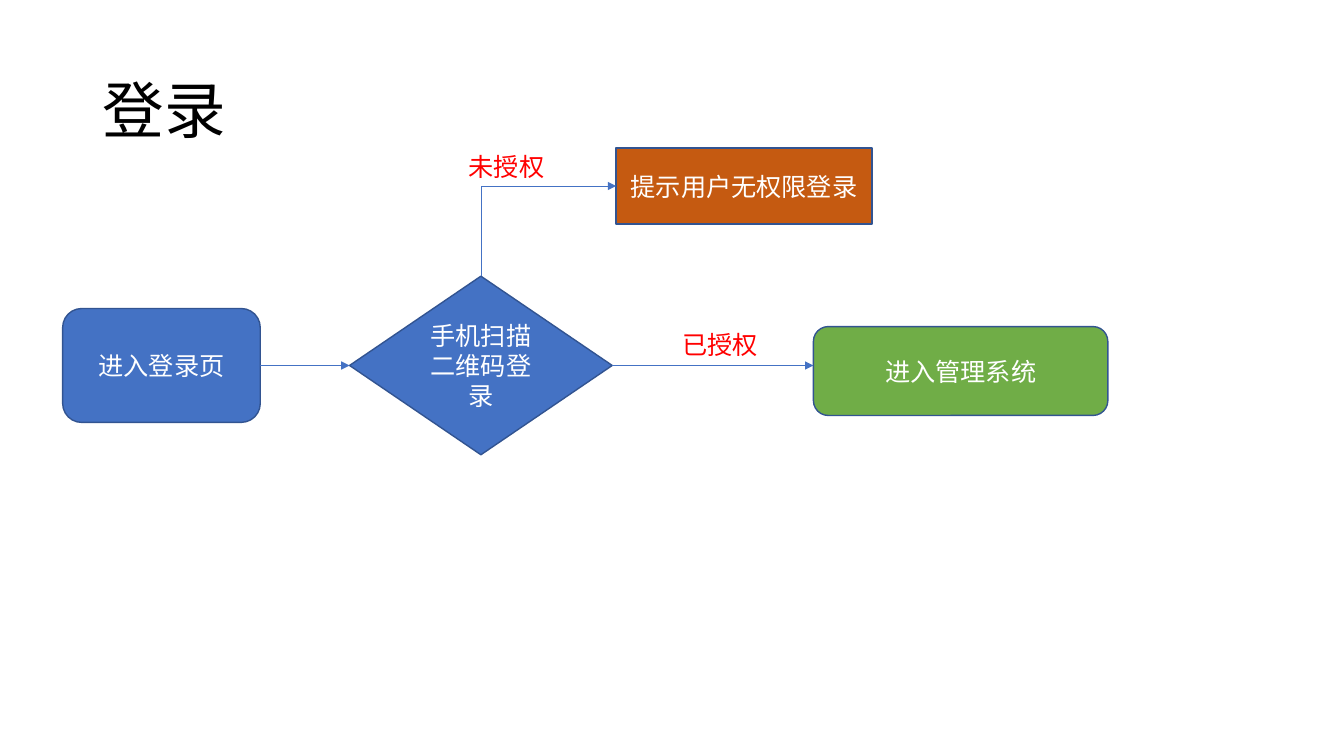
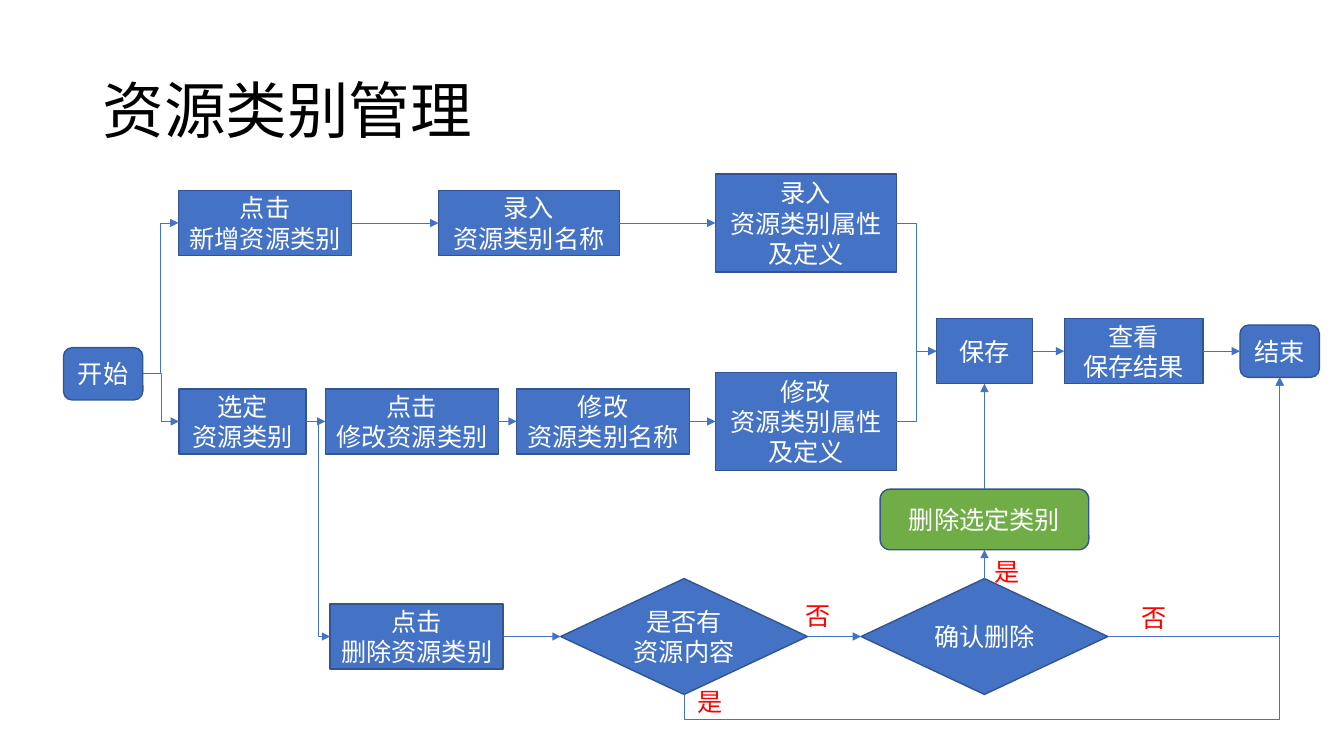
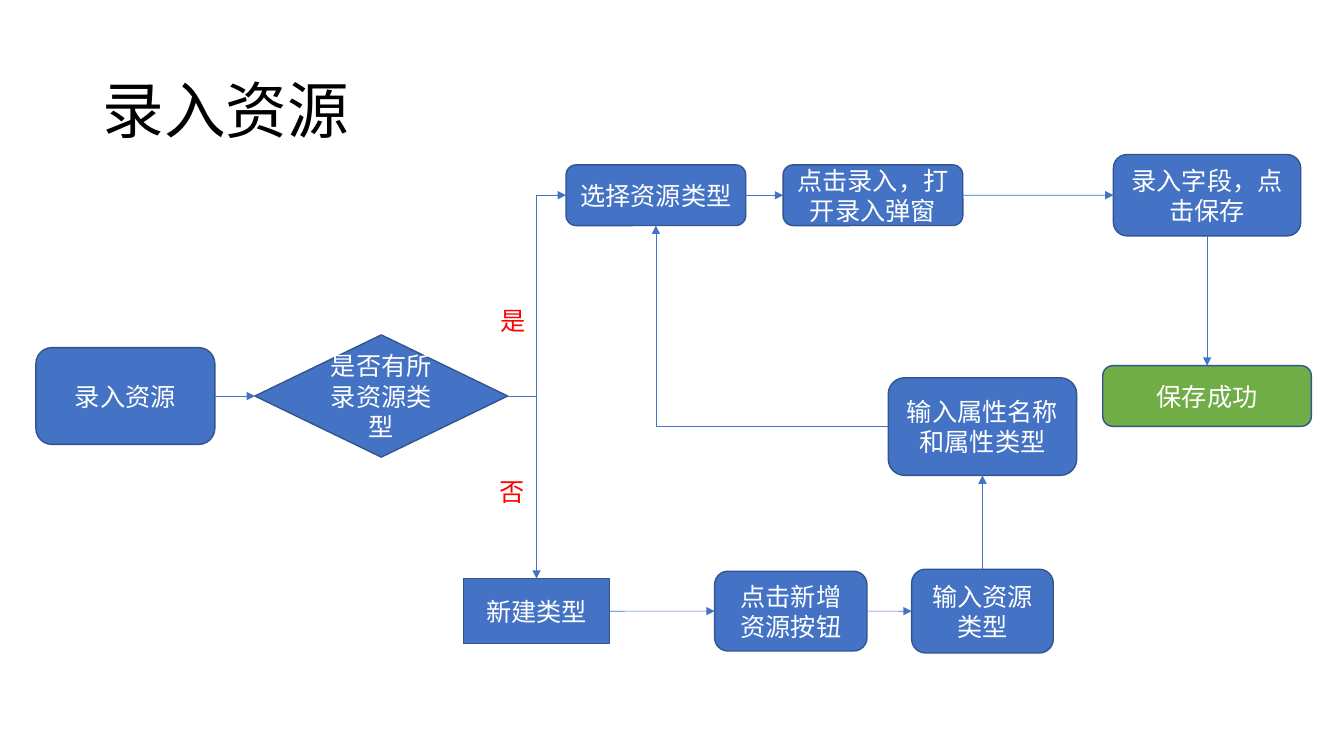
from collections import namedtuple
from itertools import pairwise

from lxml.etree import SubElement
from pptx import Presentation
from pptx.dml.color import RGBColor
from pptx.enum.shapes import MSO_CONNECTOR as LINE, MSO_SHAPE as SHAPE
from pptx.enum.text import MSO_ANCHOR, MSO_AUTO_SIZE, PP_ALIGN
from pptx.oxml.ns import qn
from pptx.util import Cm, Pt

BLUE = RGBColor(0x44, 0x72, 0xC4)
GREEN = RGBColor(0x70, 0xAD, 0x47)
ORANGE = RGBColor(0xC5, 0x5A, 0x11)
OUTLINE = RGBColor(0x32, 0x54, 0x91)
RED = RGBColor(0xFF, 0x00, 0x00)
WHITE = RGBColor(0xFF, 0xFF, 0xFF)
BLACK = RGBColor(0x00, 0x00, 0x00)
FONT = "Noto Sans CJK SC"

RECT, ROUND, DIAMOND = SHAPE.RECTANGLE, SHAPE.ROUNDED_RECTANGLE, SHAPE.DIAMOND
TOP, LEFT, BOTTOM, RIGHT = range(4)
Port = namedtuple("Port", "x y shape side", defaults=(None, None))


def port(sp, side):
    fx, fy = ((0.5, 0), (0, 0.5), (0.5, 1), (1, 0.5))[side]
    return Port(int(sp.left + sp.width * fx), int(sp.top + sp.height * fy), sp, side)


class Flow:
    def __init__(self):
        self.prs = Presentation()
        self.prs.slide_width, self.prs.slide_height = Cm(33.87), Cm(19.05)

    def style(self, tf, size, color, align):
        for p in tf.paragraphs:
            p.alignment = align
            p.font.size = Pt(size)
            p.font.color.rgb = color
            p.font.name = FONT
            props = p._p.get_or_add_pPr().find(qn("a:defRPr"))
            SubElement(props, qn("a:ea")).set("typeface", FONT)

    def page(self, title):
        self.slide = self.prs.slides.add_slide(self.prs.slide_layouts[5])
        sp = self.slide.shapes.title
        sp.left, sp.top, sp.width, sp.height = Cm(2.33), Cm(1.01), Cm(29.21), Cm(3.68)
        tf = sp.text_frame
        tf.text = title
        tf.auto_size = MSO_AUTO_SIZE.NONE
        tf.vertical_anchor = MSO_ANCHOR.MIDDLE
        tf.paragraphs[0].line_spacing = 0.9
        self.style(tf, 44, BLACK, PP_ALIGN.LEFT)

    def node(self, text, cx, cy, w, h, kind=RECT, fill=BLUE):
        sp = self.slide.shapes.add_shape(
            kind, Cm(cx - w / 2), Cm(cy - h / 2), Cm(w), Cm(h))
        sp.shadow.inherit = False
        sp.fill.solid()
        sp.fill.fore_color.rgb = fill
        sp.line.color.rgb = OUTLINE
        sp.line.width = Pt(1)
        sp.text_frame.text = text
        self.style(sp.text_frame, 18, WHITE, PP_ALIGN.CENTER)
        return sp

    def label(self, text, x, y):
        width = 0.51 + 0.635 * len(text)
        sp = self.slide.shapes.add_textbox(Cm(x), Cm(y), Cm(width), Cm(1.03))
        tf = sp.text_frame
        tf.word_wrap = False
        tf.text = text
        self.style(tf, 18, RED, PP_ALIGN.LEFT)

    def arrow(self, begin, end, kind=LINE.STRAIGHT):
        cx = self.slide.shapes.add_connector(kind, begin.x, begin.y, end.x, end.y)
        if begin.shape:
            cx.begin_connect(begin.shape, begin.side)
        if end.shape:
            cx.end_connect(end.shape, end.side)
        cx.line.color.rgb = BLUE
        cx.line.width = Pt(0.5)
        SubElement(cx.line._get_or_add_ln(), qn("a:tailEnd")).set("type", "triangle")
        SubElement(cx._element.spPr, qn("a:effectLst"))
        return cx

    def link(self, a, b, out=RIGHT, into=LEFT):
        self.arrow(port(a, out), port(b, into))

    def chain(self, *nodes):
        for a, b in pairwise(nodes):
            self.link(a, b)

    def bend(self, a, b, out=RIGHT, into=LEFT, bend_at=None):
        begin, end = port(a, out), port(b, into)
        cx = self.arrow(begin, end, LINE.ELBOW)
        geom = cx._element.spPr.find(qn("a:prstGeom"))
        if out % 2 != into % 2:
            geom.set("prst", "bentConnector2")
        if bend_at is not None:
            gd = SubElement(geom.find(qn("a:avLst")), qn("a:gd"))
            gd.set("name", "adj1")
            gd.set("fmla", f"val {round(bend_at * 100000)}")
        if out in (TOP, BOTTOM):
            self.turn(cx, begin, end)

    def turn(self, cx, begin, end):
        dx, dy = end.x - begin.x, end.y - begin.y
        cx.width, cx.height = abs(dy), abs(dx)
        cx.left = (begin.x + end.x - cx.width) // 2
        cx.top = (begin.y + end.y - cx.height) // 2
        xfrm = cx._element.spPr.find(qn("a:xfrm"))
        xfrm.set("rot", "5400000")
        xfrm.set("flipH", str(int(dy < 0)))
        xfrm.set("flipV", str(int(dx > 0)))


def login(flow):
    flow.page("登录")
    mid = 9.21
    enter = flow.node("进入登录页", 4.07, mid, 4.98, 2.87, ROUND)
    scan = flow.node("手机扫描二维码登录", 12.12, mid, 6.62, 4.5, DIAMOND)
    denied = flow.node("提示用户无权限登录", 18.75, 4.69, 6.45, 1.91, fill=ORANGE)
    system = flow.node("进入管理系统", 24.21, 9.35, 7.42, 2.24, ROUND, GREEN)
    flow.link(enter, scan)
    flow.bend(scan, denied, TOP, LEFT)
    flow.arrow(port(scan, RIGHT), Port(system.left, Cm(mid)))
    flow.label("未授权", 11.56, 3.68)
    flow.label("已授权", 16.94, 8.18)


def categories(flow):
    flow.page("资源类别管理")
    add_y, save_y, edit_y, delete_y = 5.62, 8.85, 10.62, 16.04
    attr_x, save_x = 20.31, 24.81
    w, h, tall = 4.36, 1.64, 2.47
    start = flow.node("开始", 2.6, 9.42, 2, 1.32, ROUND)
    add = flow.node("点击\n新增资源类别", 6.68, add_y, w, h)
    name = flow.node("录入\n资源类别名称", 13.33, add_y, 4.56, h)
    attrs = flow.node("录入\n资源类别属性及定义", attr_x, add_y, 4.56, tall)
    pick = flow.node("选定\n资源类别", 6.11, edit_y, 3.2, h)
    edit = flow.node("点击\n修改资源类别", 10.38, edit_y, w, h)
    rename = flow.node("修改\n资源类别名称", 15.2, edit_y, w, h)
    reattr = flow.node("修改\n资源类别属性及定义", attr_x, edit_y, 4.56, tall)
    save = flow.node("保存", save_x, save_y, 2.42, h)
    view = flow.node("查看\n保存结果", 28.57, save_y, 3.5, h)
    end = flow.node("结束", 32.25, save_y, 2, 1.32, ROUND)
    remove = flow.node("点击\n删除资源类别", 10.5, delete_y, w, h)
    used = flow.node("是否有\n资源内容", 17.24, delete_y, 6.22, 2.92, DIAMOND)
    confirm = flow.node("确认删除", save_x, delete_y, 6.22, 2.92, DIAMOND)
    erase = flow.node("删除选定类别", save_x, 13.09, 5.26, 1.53, ROUND, GREEN)
    flow.chain(add, name, attrs)
    flow.chain(pick, edit, rename, reattr)
    flow.chain(save, view, end)
    flow.chain(remove, used, confirm)
    for a, b in ((start, add), (start, pick), (pick, remove),
                 (attrs, save), (reattr, save)):
        flow.bend(a, b)
    flow.link(confirm, erase, TOP, BOTTOM)
    flow.link(erase, save, TOP, BOTTOM)
    flow.bend(confirm, end, RIGHT, BOTTOM)
    flow.bend(used, end, BOTTOM, BOTTOM, -0.08)
    for text, x, y in (("否", 20.04, 15.01), ("是", 17.32, 17.17),
                       ("是", 24.82, 13.89), ("否", 28.52, 15.06)):
        flow.label(text, x, y)


def entry(flow):
    flow.page("录入资源")
    top_y, mid_y, low_y = 4.92, 9.98, 15.4
    enter = flow.node("录入资源", 3.16, mid_y, 4.51, 2.44, ROUND)
    known = flow.node("是否有所录资源类型", 9.61, mid_y, 6.37, 3.08, DIAMOND)
    choose = flow.node("选择资源类型", 16.53, top_y, 4.53, 1.53, ROUND)
    popup = flow.node("点击录入，打开录入弹窗", 22, top_y, 4.53, 1.53, ROUND)
    fields = flow.node("录入字段，点击保存", 30.42, top_y, 4.72, 2.05, ROUND)
    saved = flow.node("保存成功", 30.42, mid_y, 5.26, 1.53, ROUND, GREEN)
    create = flow.node("新建类型", 13.52, low_y, 3.68, 1.64)
    button = flow.node("点击新增资源按钮", 19.93, low_y, 3.84, 2.01, ROUND)
    kind = flow.node("输入资源类型", 24.76, low_y, 3.57, 2.11, ROUND)
    attrs = flow.node("输入属性名称和属性类型", 24.76, 10.75, 4.75, 2.46, ROUND)
    flow.chain(enter, known)
    flow.chain(choose, popup, fields)
    flow.chain(create, button, kind)
    flow.link(fields, saved, BOTTOM, TOP)
    flow.link(kind, attrs, TOP, BOTTOM)
    flow.bend(known, choose)
    flow.bend(attrs, choose, LEFT, BOTTOM)
    flow.arrow(Port(Cm(13.52), Cm(8.94)), port(create, TOP))
    flow.label("是", 12.37, 7.57)
    flow.label("否", 12.35, 11.89)


flow = Flow()
for build in (login, categories, entry):
    build(flow)
flow.prs.save("out.pptx")
